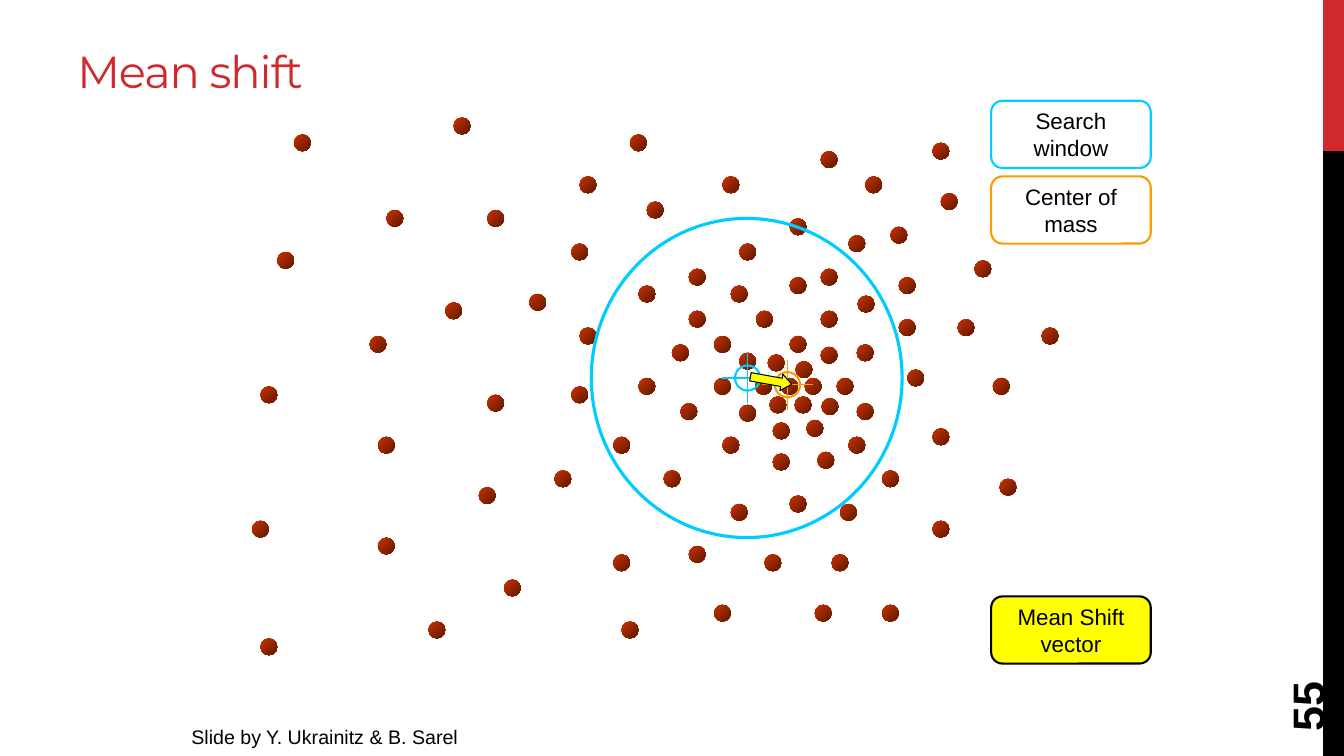
import pptx
import pptx.dml.color
import pptx.enum.shapes
import pptx.enum.text
import pptx.oxml
import pptx.oxml.ns
import pptx.util

RGBColor = pptx.dml.color.RGBColor
MSO_SHAPE = pptx.enum.shapes.MSO_SHAPE
PP_ALIGN = pptx.enum.text.PP_ALIGN
MSO_ANCHOR = pptx.enum.text.MSO_ANCHOR

RED = RGBColor(0xD1, 0x28, 0x2E)
BLACK = RGBColor(0x00, 0x00, 0x00)
BLUE = RGBColor(0x00, 0xCC, 0xFF)
ORANGE = RGBColor(0xFF, 0x99, 0x00)
YELLOW = RGBColor(0xFF, 0xFF, 0x00)
DOT_LIGHT = RGBColor(0xCC, 0x33, 0x00)
DOT_DARK = RGBColor(0x5E, 0x18, 0x00)

CELLS_PER_INCH = 12
COLUMNS, ROWS = 160, 90
DOT_SIZE = 2
RING_SIZE = 3
CROSS_SIZE = 6

DOTS = [
    (93, 45), (95.8, 45), (94.7, 43), (91.4, 42.2), (94.6, 47.2), (91.6, 47.2),
    (97.8, 47.4), (89.9, 45), (99.6, 45), (97.7, 41.3), (94, 40), (96, 50),
    (92, 50.3), (88, 48.2), (85, 45), (88, 42), (102, 48), (101, 52),
    (97.3, 53.8), (92, 54), (86, 52), (81, 48), (80, 41), (85, 40),
    (90, 37), (97.7, 37), (94, 33), (82, 37), (87, 34), (94, 26),
    (88, 29), (97.7, 32), (97.7, 18), (101, 28), (102.1, 35.2), (102, 41),
    (107, 38), (107, 33), (106, 27), (103, 21), (111, 17), (112, 23),
    (116, 31), (108, 44), (114, 38), (124, 39), (111, 51), (118.2, 45),
    (105, 56), (119, 57), (111, 62), (100, 60), (94, 59), (99, 66),
    (105, 72), (97, 72), (91, 66), (87, 60), (79, 56), (82, 65),
    (85, 72), (74, 74), (73, 66), (66, 56), (73, 52), (76, 45),
    (69, 39), (76, 34), (82, 32), (77, 24), (86, 21), (75, 16),
    (69, 21), (68, 29), (63, 35), (68, 46), (58, 47), (57, 58),
    (60, 69), (51, 74), (45, 64), (45, 52), (53, 36), (58, 25),
    (46, 25), (44, 40), (30, 62), (31, 76), (31, 46), (33, 30),
    (35, 16), (54, 14),
]

LABELS = [
    ("Search\vwindow", 12, None, BLUE),
    ("Center of\nmass", 21, None, ORANGE),
    ("Mean Shift\nvector", 71, YELLOW, BLACK),
]


def cells(*counts):
    return [pptx.util.Inches(count / CELLS_PER_INCH) for count in counts]


def add_shape(shapes, kind, box, fill=None, line=None, weight=1.5):
    shape = shapes.add_shape(kind, *cells(*box))
    shape.shadow.inherit = False
    if fill is None:
        shape.fill.background()
    else:
        shape.fill.solid()
        shape.fill.fore_color.rgb = fill
    if line is None:
        shape.line.fill.background()
    else:
        shape.line.color.rgb = line
        shape.line.width = pptx.util.Pt(weight)
    return shape


def add_dot(shapes, column, row):
    dot = add_shape(shapes, MSO_SHAPE.OVAL, (column, row, DOT_SIZE, DOT_SIZE))
    dot.fill.gradient()
    dot.fill.gradient_angle = 315
    for stop, color in zip(dot.fill.gradient_stops, (DOT_LIGHT, DOT_DARK)):
        stop.color.rgb = color


def add_hairline(shapes, start, end, color):
    line = shapes.add_connector(
        pptx.enum.shapes.MSO_CONNECTOR.STRAIGHT, *cells(*start, *end))
    line.line.color.rgb = color
    line.line.width = pptx.util.Pt(0.75)
    properties = line._element.spPr
    properties.append(pptx.oxml.parse_xml(
        f"<a:effectLst {pptx.oxml.ns.nsdecls('a')}/>"))


def add_target(shapes, column, row, color):
    ring, arm = RING_SIZE / 2, CROSS_SIZE / 2
    add_shape(shapes, MSO_SHAPE.OVAL,
              (column - ring, row - ring, RING_SIZE, RING_SIZE), line=color)
    add_hairline(shapes, (column, row - arm), (column, row + arm), color)
    add_hairline(shapes, (column - arm, row), (column + arm, row), color)


def write(shape, text, size, align=PP_ALIGN.LEFT, font="Arial", color=BLACK,
          bold=False, wrap=False, anchor=MSO_ANCHOR.MIDDLE):
    frame = shape.text_frame
    frame.text = text
    frame.word_wrap = wrap
    frame.vertical_anchor = anchor
    for paragraph in frame.paragraphs:
        paragraph.alignment = align
        paragraph.font.name = font
        paragraph.font.size = pptx.util.Pt(size)
        paragraph.font.bold = bold
        paragraph.font.color.rgb = color


def add_label(shapes, text, row, fill, line):
    label = add_shape(shapes, MSO_SHAPE.ROUNDED_RECTANGLE,
                      (118, row, 19, 8), fill, line)
    write(label, text, 16, PP_ALIGN.CENTER)


def add_shift_arrow(shapes):
    arrow = add_shape(shapes, MSO_SHAPE.RIGHT_ARROW, (89.3, 44.3, 5, 2),
                      YELLOW, BLACK, 0.75)
    arrow.adjustments[1] = 0.625
    arrow.rotation = 10.3


def set_title(slide):
    title = slide.shapes.title
    title.left, title.top, title.width, title.height = cells(8, 2, 143.8, 12.7)
    write(title, "Mean shift", 32, font="Montserrat", color=RED, wrap=True)
    run = title.text_frame.paragraphs[0].runs[0]
    run._r.get_or_add_rPr().set("spc", "-80")


def main():
    presentation = pptx.Presentation()
    presentation.slide_width, presentation.slide_height = cells(COLUMNS, ROWS)
    slide = presentation.slides.add_slide(presentation.slide_layouts[5])
    shapes = slide.shapes

    for row, height, color in ((0, 18, RED), (18, 72, BLACK)):
        add_shape(shapes, MSO_SHAPE.RECTANGLE, (157.5, row, 2.5, height), color)
    for column, row in DOTS:
        add_dot(shapes, column, row)

    search_window = shapes.add_group_shape().shapes
    add_shape(search_window, MSO_SHAPE.OVAL, (70.4, 26, 37, 38),
              line=BLUE, weight=2.25)
    add_target(search_window, 89, 45, BLUE)
    for label in LABELS:
        add_label(shapes, *label)
    center_of_mass = shapes.add_group_shape().shapes
    add_target(center_of_mass, 93.75, 45.8, ORANGE)
    add_shift_arrow(shapes)

    set_title(slide)
    credit = shapes.add_textbox(*cells(21.6, 85.7, 34.4, 4))
    write(credit, "Slide by Y. Ukrainitz & B. Sarel", 14, anchor=MSO_ANCHOR.TOP)
    slide_number = shapes.add_textbox(*cells(146.9, 76.4, 17.3, 6.4))
    slide_number.rotation = 270
    write(slide_number, "55", 32, bold=True, wrap=True)

    presentation.save("out.pptx")


if __name__ == "__main__":
    main()
